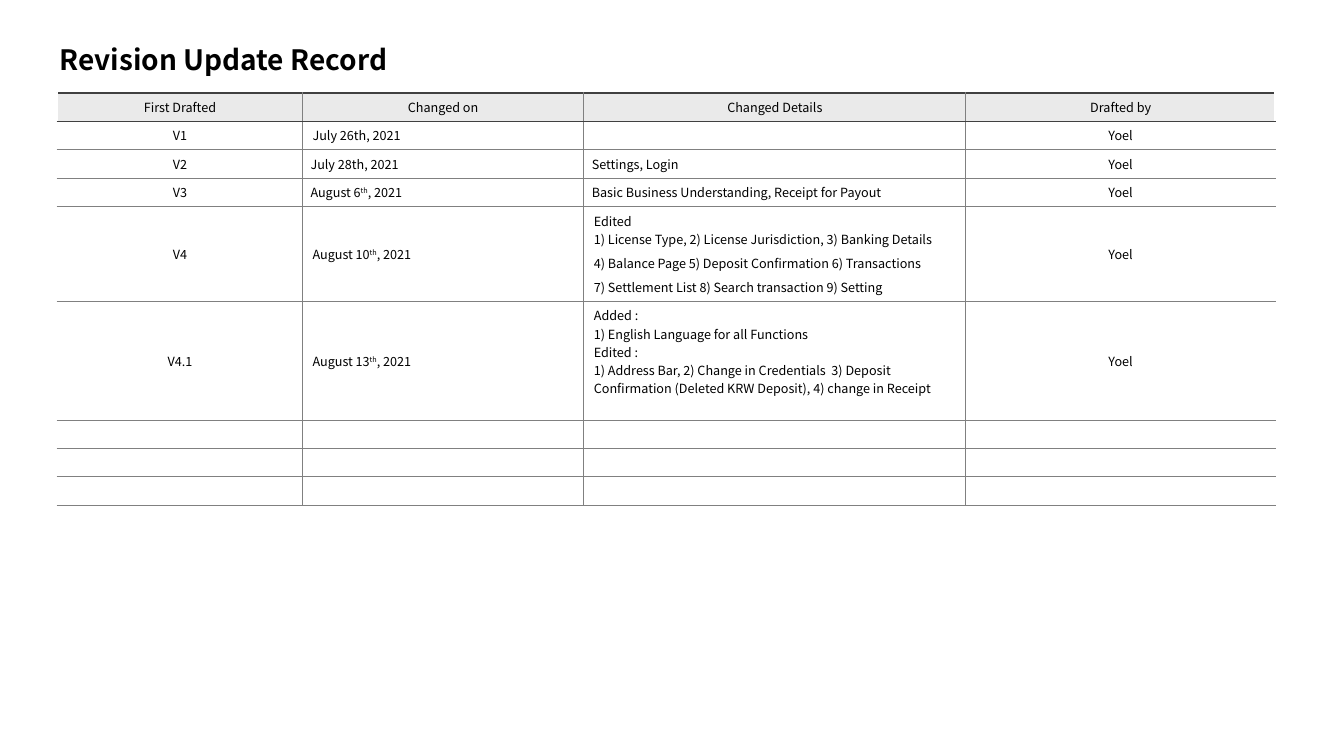
import lxml.etree
import pptx
import pptx.dml.color
import pptx.enum.text
import pptx.oxml.ns
import pptx.util

COLORS = {
    "text": "000000",
    "header": "EAEAEA",
    "body": "FFFFFF",
    "edge": "FFFFFF",
    "rule": "404040",
    "grid": "808080",
}
FONT = "Noto Sans CJK KR"
Inches, Pt = pptx.util.Inches, pptx.util.Pt
qn = pptx.oxml.ns.qn
PP_ALIGN = pptx.enum.text.PP_ALIGN
MSO_ANCHOR = pptx.enum.text.MSO_ANCHOR


def style_font(font, size, bold):
    for attribute, value in {"name": FONT, "size": Pt(size), "bold": bold}.items():
        setattr(font, attribute, value)
    font.color.rgb = pptx.dml.color.RGBColor.from_string(COLORS["text"])


def draw_borders(cell, borders):
    properties = cell._tc.get_or_add_tcPr()
    for position, (side, (color, width)) in enumerate(borders.items()):
        line = lxml.etree.Element(qn(f"a:ln{side}"), w=str(Pt(width)))
        fill = lxml.etree.SubElement(line, qn("a:solidFill"))
        lxml.etree.SubElement(fill, qn("a:srgbClr"), val=COLORS[color])
        properties.insert(position, line)


presentation = pptx.Presentation()
presentation.slide_width = Inches(13.33)
presentation.slide_height = Inches(7.5)
slide = presentation.slides.add_slide(presentation.slide_layouts[5])

title = slide.shapes.title
title_place = {"left": 0.49, "top": 0.36, "width": 9.83, "height": 0.45}
for attribute, value in title_place.items():
    setattr(title, attribute, Inches(value))
title_format = {
    "text": "Revision Update Record",
    "vertical_anchor": MSO_ANCHOR.BOTTOM,
    "auto_size": pptx.enum.text.MSO_AUTO_SIZE.NONE,
    "word_wrap": True,
}
for attribute, value in title_format.items():
    setattr(title.text_frame, attribute, value)
heading = title.text_frame.paragraphs[0]
heading.alignment = PP_ALIGN.LEFT
style_font(heading.runs[0].font, 20, True)

revisions = [
    ["First Drafted", "Changed on", ["Changed Details"], "Drafted by"],
    ["V1", "July 26th, 2021", [""], "Yoel"],
    ["V2", "July 28th, 2021", ["Settings, Login"], "Yoel"],
    ["V3", "August 6^th^, 2021", ["Basic Business Understanding, Receipt for Payout"], "Yoel"],
    ["V4", "August 10^th^, 2021", [
        "Edited \v1) License Type, 2) License Jurisdiction, 3) Banking Details",
        "4) Balance Page 5) Deposit Confirmation 6) Transactions",
        "7) Settlement List 8) Search transaction 9) Setting",
    ], "Yoel"],
    ["V4.1", "August 13^th^, 2021", [
        "Added :",
        "1) English Language for all Functions",
        "Edited :",
        "1) Address Bar, 2) Change in Credentials  3) Deposit Confirmation "
        "(Deleted KRW Deposit), 4) change in Receipt",
    ], "Yoel"],
] + [["", "", [""], ""]] * 3

column_widths = [2.43, 2.79, 3.79, 3.07]
line_height = 0.28
row_heights = [line_height] * 4 + [0.94, 1.18] + [line_height] * 3
record = slide.shapes.add_table(
    len(revisions), len(column_widths), Inches(0.57), Inches(0.92),
    Inches(sum(column_widths)), Inches(sum(row_heights)),
).table
record.first_row = record.horz_banding = False
for column, width in zip(record.columns, column_widths):
    column.width = Inches(width)
for row, height in zip(record.rows, row_heights):
    row.height = Inches(height)

last_column = len(column_widths) - 1
for r, revision in enumerate(revisions):
    for c, entry in enumerate(revision):
        cell = record.cell(r, c)
        centred = r == 0 or c in (0, last_column)
        compact = r in (2, 3) and not centred
        side, end = (0.08, 0) if compact else (0.1, 0.05)
        cell_format = {
            "margin_left": Inches(side),
            "margin_right": Inches(side),
            "margin_top": Inches(end),
            "margin_bottom": Inches(end),
            "vertical_anchor": MSO_ANCHOR.TOP if (r, c) == (5, 2) else MSO_ANCHOR.MIDDLE,
        }
        for attribute, value in cell_format.items():
            setattr(cell, attribute, value)
        cell.fill.solid()
        cell.fill.fore_color.rgb = pptx.dml.color.RGBColor.from_string(
            COLORS["header" if r == 0 else "body"])
        draw_borders(cell, {
            "L": ("edge", 1.5) if c == 0 else ("grid", 0.75),
            "R": ("edge", 1.5) if c == last_column else ("grid", 0.75),
            "T": ("rule", 1.5) if r == 0 else ("rule" if r == 1 else "grid", 0.75),
            "B": ("rule" if r == 0 else "grid", 0.75),
        })

        lines = entry if isinstance(entry, list) else [entry]
        for number, line in enumerate(lines):
            frame = cell.text_frame
            paragraph = frame.add_paragraph() if number else frame.paragraphs[0]
            paragraph.alignment = PP_ALIGN.CENTER if centred else PP_ALIGN.LEFT
            if r == 4 and number < len(lines) - 1:
                paragraph.space_after = Pt(4)
            start, *rest = line.split("^")
            paragraph.text = start
            for part in rest:
                paragraph.add_run().text = part
            for run in paragraph.runs:
                style_font(run.font, 9, False)
            if rest:
                paragraph.runs[1].font._element.set("baseline", "30000")
            for line_break in paragraph._p.findall(qn("a:br")):
                lxml.etree.SubElement(line_break, qn("a:rPr"), sz="900")
            if not line:
                blank = lxml.etree.SubElement(paragraph._p, qn("a:endParaRPr"), sz="900")
                lxml.etree.SubElement(blank, qn("a:latin"), typeface=FONT)

presentation.save("out.pptx")
